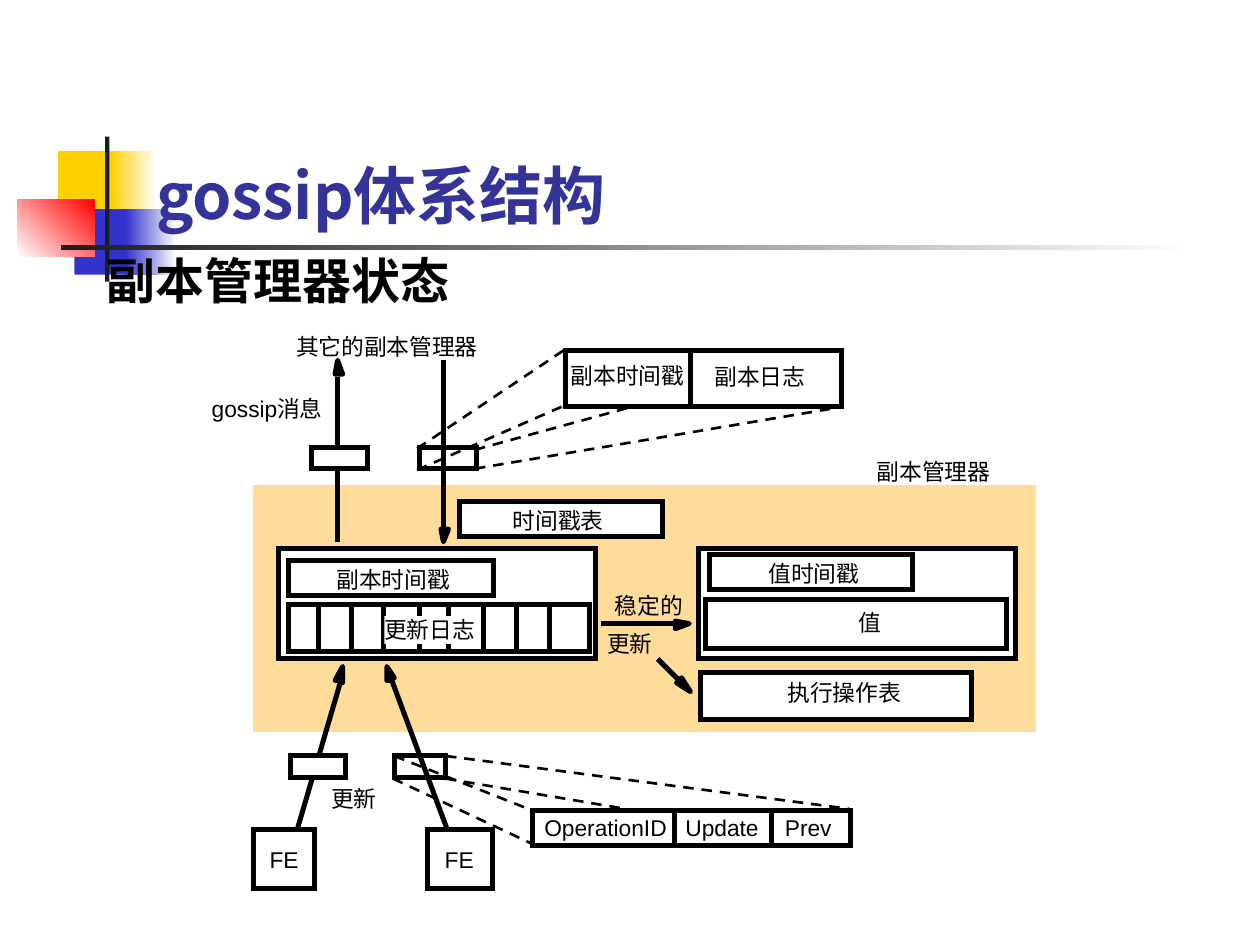
from lxml import etree
from pptx import Presentation
from pptx.dml.color import RGBColor
from pptx.enum.dml import MSO_LINE
from pptx.enum.shapes import MSO_CONNECTOR, MSO_SHAPE
from pptx.enum.text import MSO_ANCHOR, MSO_AUTO_SIZE
from pptx.oxml.ns import qn
from pptx.util import Inches, Pt

RECTANGLE = MSO_SHAPE.RECTANGLE
STRAIGHT = MSO_CONNECTOR.STRAIGHT
DASH = MSO_LINE.DASH
BLACK, WHITE = "000000", "FFFFFF"
THICK, THIN = Pt(2.86), Pt(1.5)

deck = Presentation()
deck.slide_width, deck.slide_height = Inches(10), Inches(7.5)
page = deck.slides.add_slide(deck.slide_layouts[6])
COLUMN = deck.slide_width // 1000
ROW = deck.slide_height // 750
color = RGBColor.from_string


def add_box(left, top, width, height, fill=None, outline=None):
    box = page.shapes.add_shape(
        RECTANGLE, int(left * COLUMN), int(top * ROW), int(width * COLUMN), int(height * ROW))
    box.shadow.inherit = False
    if fill:
        box.fill.solid()
        box.fill.fore_color.rgb = color(fill)
    else:
        box.fill.background()
    if outline:
        box.line.color.rgb = color(outline)
        box.line.width = THICK
        etree.SubElement(box.line._ln, qn("a:miter"), lim="800000")
    else:
        box.line.fill.background()
    return box


def add_line(x1, y1, x2, y2, width=THICK, dash=None):
    line = page.shapes.add_connector(STRAIGHT, x1 * COLUMN, y1 * ROW, x2 * COLUMN, y2 * ROW)
    line.line.color.rgb = color(BLACK)
    line.line.width = width
    if dash:
        line.line.dash_style = dash
    etree.SubElement(line._element.spPr, qn("a:effectLst"))


ornaments = [
    (46, 120, 48, 52, "FFCF01", None, 0),
    (88, 120, 36, 52, "FFCF01", WHITE, 0),
    (59, 166, 46, 52, "3333CC", None, 0),
    (100, 166, 40, 52, "3333CC", WHITE, 0),
    (14, 158, 61, 46, WHITE, "FF0000", 45),
    (83.5, 108.5, 3.4, 115, "1C1C1C", None, 0),
    (48.5, 194.8, 900, 3.4, "1C1C1C", WHITE, 0),
]
for left, top, width, height, start, end, angle in ornaments:
    ornament = add_box(left, top, width, height, start)
    if end:
        ornament.fill.gradient()
        ornament.fill.gradient_angle = angle
        for stop, shade in zip(ornament.fill.gradient_stops, (start, end)):
            stop.color.rgb = color(shade)

headings = [
    (114, 91, 740, 98, "gossip体系结构", 36, "Noto Sans CJK JP", "333399", MSO_ANCHOR.BOTTOM, 0),
    (75, 194, 882, 520, "副本管理器状态", 28, "Times New Roman", BLACK, MSO_ANCHOR.TOP, 7),
]
for left, top, width, height, text, size, font, shade, anchor, space in headings:
    box = page.shapes.add_textbox(left * COLUMN, top * ROW, width * COLUMN, height * ROW)
    box.text_frame.word_wrap = True
    box.text_frame.vertical_anchor = anchor
    para = box.text_frame.paragraphs[0]
    para.text = text
    para.space_before = Pt(space)
    para.font.name, para.font.size, para.font.bold = font, Pt(size), True
    para.font.color.rgb = color(shade)

for ends in [(354, 618, 675, 672), (377, 357, 669, 277)]:
    add_line(*ends, THIN, DASH)

add_box(201, 385, 621, 196, "FFDC99")

state_boxes = [
    (221, 435, 252, 88), (554, 435, 252, 88),
    (229, 445, 163, 28), (229, 480, 239, 37),
    (563, 440, 161, 28), (560, 476, 239, 39),
    (556, 534, 215, 37), (365, 398, 161, 28),
    (449, 278, 219, 45), (423, 643, 252, 28),
]
for place in state_boxes:
    add_box(*place, WHITE, BLACK)

for x in (253, 279, 304, 333, 356, 384, 410, 436):
    add_line(x, 480, x, 516)
for x, top, bottom in [(548, 278, 322), (535, 643, 671), (612, 643, 670)]:
    add_line(x, top, x, bottom)

arrows = [
    ((477, 495, 536, 495), [(536, 495), (536, 493), (547, 495), (536, 499)]),
    ((522, 523, 539, 540), [(539, 540), (541, 538), (548, 549), (537, 542)]),
    ((352, 286, 352, 418), [(352, 420), (356, 420), (352, 430), (350, 420)]),
    ((229, 682, 270, 542), [(270, 540), (266, 540), (272, 529), (272, 542)]),
    ((363, 680, 311, 540), [(309, 540), (307, 540), (307, 529), (313, 538)]),
    ((268, 430, 268, 299), [(268, 297), (266, 297), (268, 286), (272, 297)]),
]
for shaft, head in arrows:
    builder = page.shapes.build_freeform(*head[0], scale=(COLUMN, ROW))
    builder.add_line_segments(head[1:], close=True)
    tip = builder.convert_to_shape()
    tip.shadow.inherit = False
    tip.fill.solid()
    tip.fill.fore_color.rgb = color(BLACK)
    tip.line.color.rgb = color(BLACK)
    tip.line.width = THICK
    add_line(*shaft)

for place in [(333, 355, 45, 17), (313, 600, 41, 17)]:
    add_box(*place, outline=BLACK)
for place in [(201, 658, 49, 47), (339, 658, 52, 47), (231, 600, 43, 17), (247, 355, 45, 17)]:
    add_box(*place, WHITE, BLACK)

labels = [
    (267, 449, 90, "副本时间戳"), (305, 489, 72, "更新日志"),
    (610, 444, 72, "值时间戳"), (681, 483, 18, "值"),
    (625, 539, 90, "执行操作表"), (488, 470, 54, "稳定的"),
    (482, 500, 36, "更新"), (263, 623, 36, "更新"),
    (168, 313, 98, "gossip消息"), (214, 671, 23, "FE"),
    (353, 671, 23, "FE"), (453, 287, 90, "副本时间戳"),
    (567, 288, 72, "副本日志"), (432, 646, 102, "OperationID"),
    (544, 646, 63, "Update"), (623, 646, 37, "Prev"),
    (696, 363, 90, "副本管理器"), (235, 264, 144, "其它的副本管理器"),
    (407, 402, 72, "时间戳表"),
]
for left, top, width, text in labels:
    box = page.shapes.add_textbox(left * COLUMN, top * ROW, width * COLUMN, 22 * ROW)
    if text == "更新日志":
        box.fill.solid()
        box.fill.fore_color.rgb = color(WHITE)
    frame = box.text_frame
    frame.margin_left = frame.margin_right = frame.margin_top = frame.margin_bottom = 0
    frame.word_wrap = False
    frame.auto_size = MSO_AUTO_SIZE.SHAPE_TO_FIT_TEXT
    para = frame.paragraphs[0]
    para.text = text
    para.font.name, para.font.size = "Arial", Pt(13)
    para.font.color.rgb = color(BLACK)

callouts = [
    (331, 356, 449, 277), (331, 373, 450, 321), (377, 372, 668, 323),
    (354, 600, 674, 642), (313, 600, 422, 643), (312, 618, 423, 670),
]
for ends in callouts:
    add_line(*ends, THIN, DASH)

deck.save("out.pptx")
